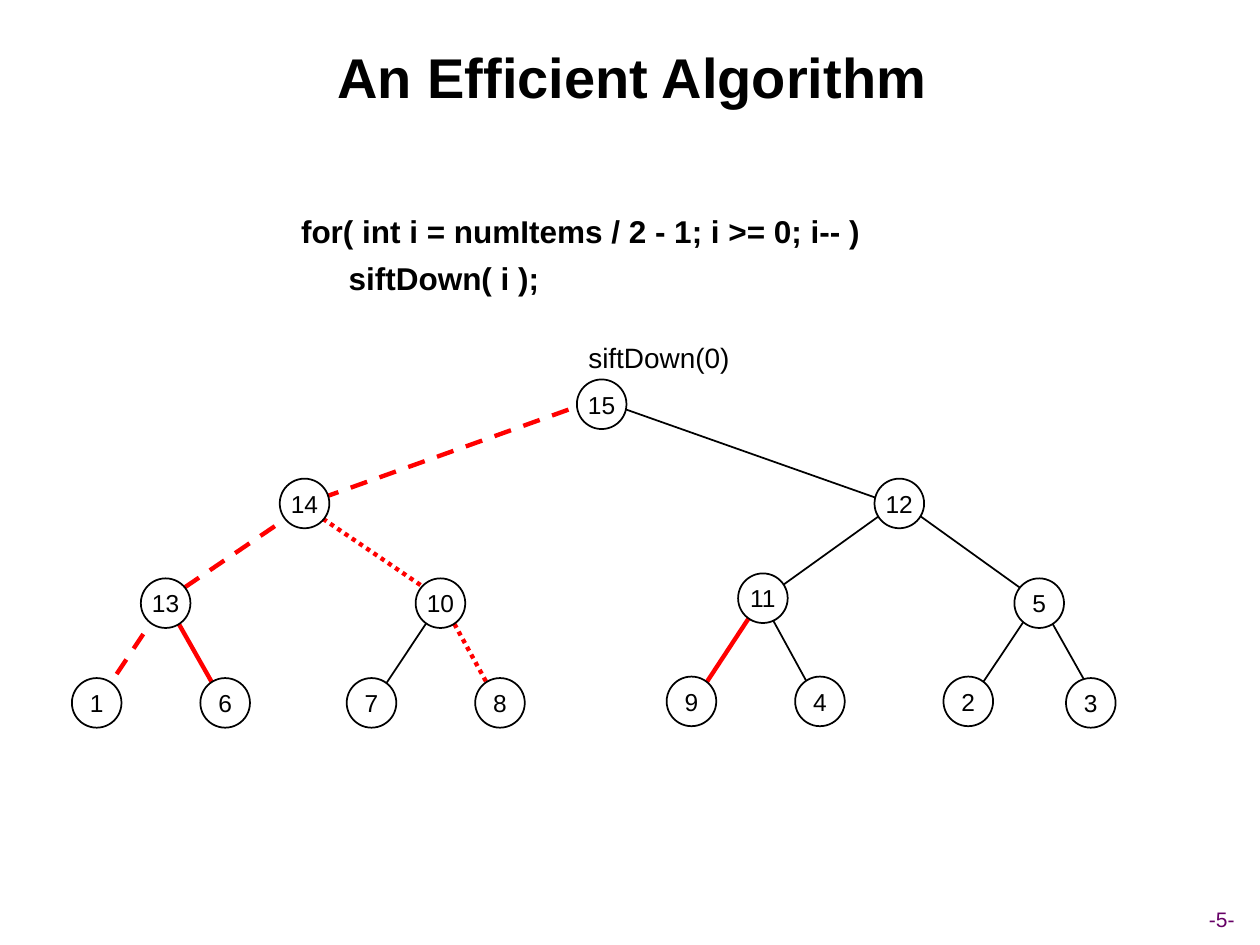
"""Build the slide that shows sift-down on a binary heap."""
from lxml.etree import SubElement
from pptx import Presentation
from pptx.dml.color import RGBColor
from pptx.enum.dml import MSO_LINE_DASH_STYLE as Dash
from pptx.enum.shapes import MSO_CONNECTOR_TYPE as Connector, MSO_SHAPE as Shape
from pptx.enum.text import MSO_ANCHOR as Anchor, PP_ALIGN as Align
from pptx.oxml.ns import qn
from pptx.util import Cm, Pt

COLORS = {"ink": "000000", "paper": "FFFFFF", "path": "FF0000", "page": "660066"}
EDGE_STYLES = {
    "plain": ("ink", 1, None),
    "solid": ("path", 2.5, None),
    "dash": ("path", 2.5, Dash.DASH),
    "dot": ("path", 2.5, Dash.ROUND_DOT),
}
EDGES = [
    ((8.79, 12.27), (7.59, 14.07), "plain"),
    ((8.99, 12.27), (9.98, 14.07), "dot"),
    ((15.24, 12.24), (14.05, 14.05), "solid"),
    ((15.44, 12.24), (16.43, 14.05), "plain"),
    ((20.83, 12.24), (19.76, 13.84), "plain"),
    ((21.03, 12.24), (22.05, 14.05), "plain"),
    ((3.23, 12.27), (2.03, 14.07), "dash"),
    ((3.43, 12.27), (4.45, 14.07), "solid"),
    ((6.05, 10.26), (3.43, 12.04), "dash"),
    ((6.22, 10.26), (8.84, 12.04), "dot"),
    ((18.24, 10.03), (15.44, 12.04), "plain"),
    ((18.03, 10.03), (20.83, 12.04), "plain"),
    ((12.04, 8.05), (6.43, 10.06), "dash"),
    ((12.04, 8.05), (18.24, 10.24), "plain"),
]
NODES = [
    ("15", 11.63, 7.65),
    ("14", 5.64, 9.65), ("12", 17.63, 9.65),
    ("13", 2.84, 11.66), ("10", 8.38, 11.66),
    ("11", 14.88, 11.56), ("5", 20.45, 11.66),
    ("1", 1.45, 13.67), ("6", 4.04, 13.67), ("7", 6.99, 13.67), ("8", 9.58, 13.67),
    ("9", 13.44, 13.64), ("4", 16.03, 13.64), ("2", 19.02, 13.64), ("3", 21.49, 13.67),
]


class HeapSlide:
    """Holds the style and the current slide."""

    font = "Arial"
    node_size = 1

    def __init__(self, deck):
        self.page = deck.slides.add_slide(deck.slide_layouts[5])

    def color(self, name):
        return RGBColor.from_string(COLORS[name])

    def add_text(self, para, text, size, color="ink", bold=False, align=Align.CENTER):
        para.alignment = align
        span = para.add_run()
        span.text = text
        span.font.name = self.font
        span.font.size = Pt(size)
        span.font.bold = bold
        span.font.color.rgb = self.color(color)

    def title(self, text, left, top, width, height):
        box = self.page.shapes.title
        box.left, box.top, box.width, box.height = map(Cm, (left, top, width, height))
        box.text_frame.vertical_anchor = Anchor.MIDDLE
        self.add_text(box.text_frame.paragraphs[0], text, 32, bold=True)

    def label(self, text, left, top, width, height, size, color="ink"):
        box = self.page.shapes.add_textbox(*map(Cm, (left, top, width, height)))
        box.text_frame.word_wrap = True
        box.text_frame.vertical_anchor = Anchor.MIDDLE
        self.add_text(box.text_frame.paragraphs[0], text, size, color)

    def code(self, lines, left, top, width, height):
        box = self.page.shapes.add_textbox(*map(Cm, (left, top, width, height)))
        frame = box.text_frame
        frame.word_wrap = True
        for number, (text, indent) in enumerate(lines):
            para = frame.add_paragraph() if number else frame.paragraphs[0]
            para.space_before = Pt(5.5 if number else 0)
            self.add_text(para, text, 18, bold=True, align=Align.LEFT)
            para._p.get_or_add_pPr().set("marL", str(Cm(indent)))

    def edge(self, start, end, style):
        color, width, dash = EDGE_STYLES[style]
        edge = self.page.shapes.add_connector(Connector.STRAIGHT, *map(Cm, start + end))
        edge.line.color.rgb = self.color(color)
        edge.line.width = Pt(width)
        if dash:
            edge.line.dash_style = dash
        SubElement(edge._element.spPr, qn("a:effectLst"))

    def node(self, text, left, top):
        size = Cm(self.node_size)
        node = self.page.shapes.add_shape(Shape.OVAL, Cm(left), Cm(top), size, size)
        node.shadow.inherit = False
        node.fill.solid()
        node.fill.fore_color.rgb = self.color("paper")
        node.line.color.rgb = self.color("ink")
        node.line.width = Pt(1)
        frame = node.text_frame
        frame.margin_left = frame.margin_right = frame.margin_top = frame.margin_bottom = 0
        frame.word_wrap = False
        frame.vertical_anchor = Anchor.MIDDLE
        self.add_text(frame.paragraphs[0], text, 14)


def main():
    deck = Presentation()
    deck.slide_width, deck.slide_height = Cm(25.4), Cm(19.05)
    slide = HeapSlide(deck)
    slide.title("An Efficient Algorithm", 0.97, 0.33, 23.55, 2.41)
    slide.code(
        [("for( int i = numItems / 2 - 1; i >= 0; i-- )", 0), ("siftDown( i );", 0.96)],
        5.82, 4.14, 13, 2.2,
    )
    for edge in EDGES:
        slide.edge(*edge)
    for node in NODES:
        slide.node(*node)
    slide.label("siftDown(0)", 11.61, 6.73, 3.35, 0.94, 16)
    slide.label("-5-", 23.86, 18.14, 1.54, 0.76, 12, "page")
    deck.save("out.pptx")


if __name__ == "__main__":
    main()
